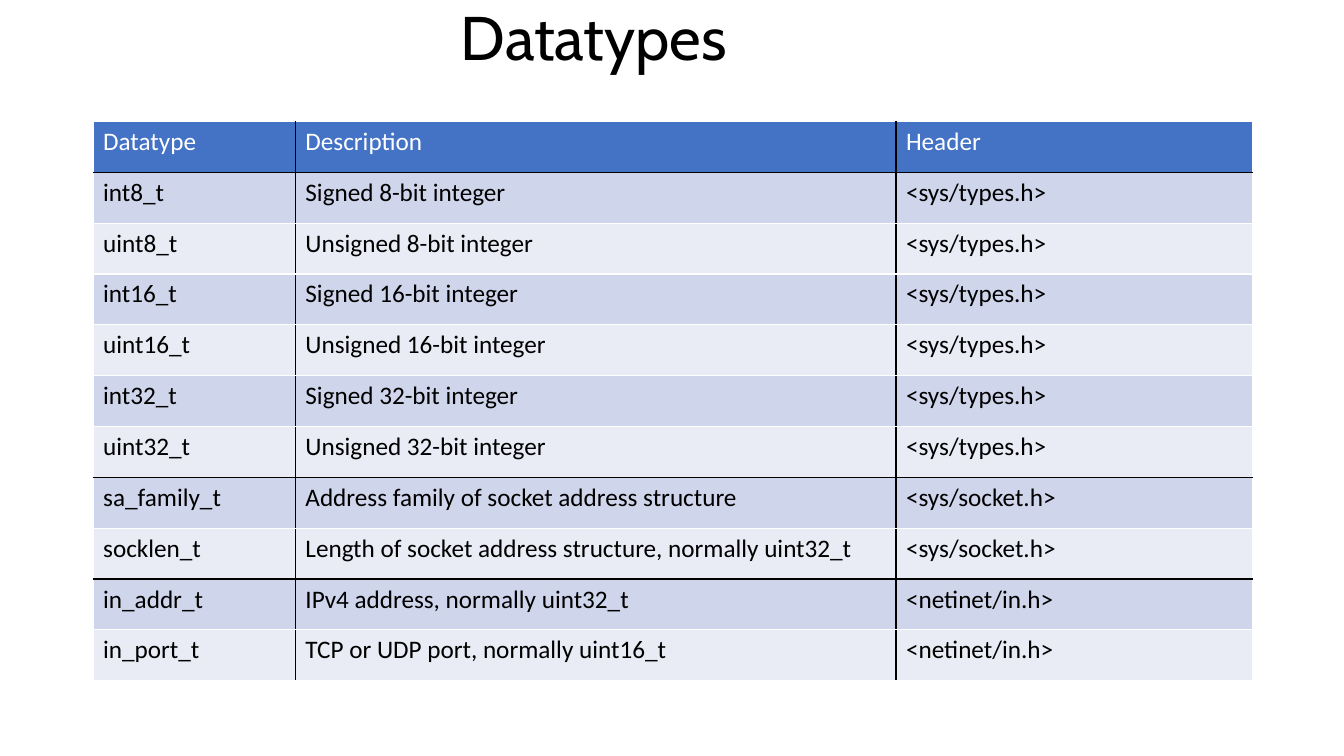
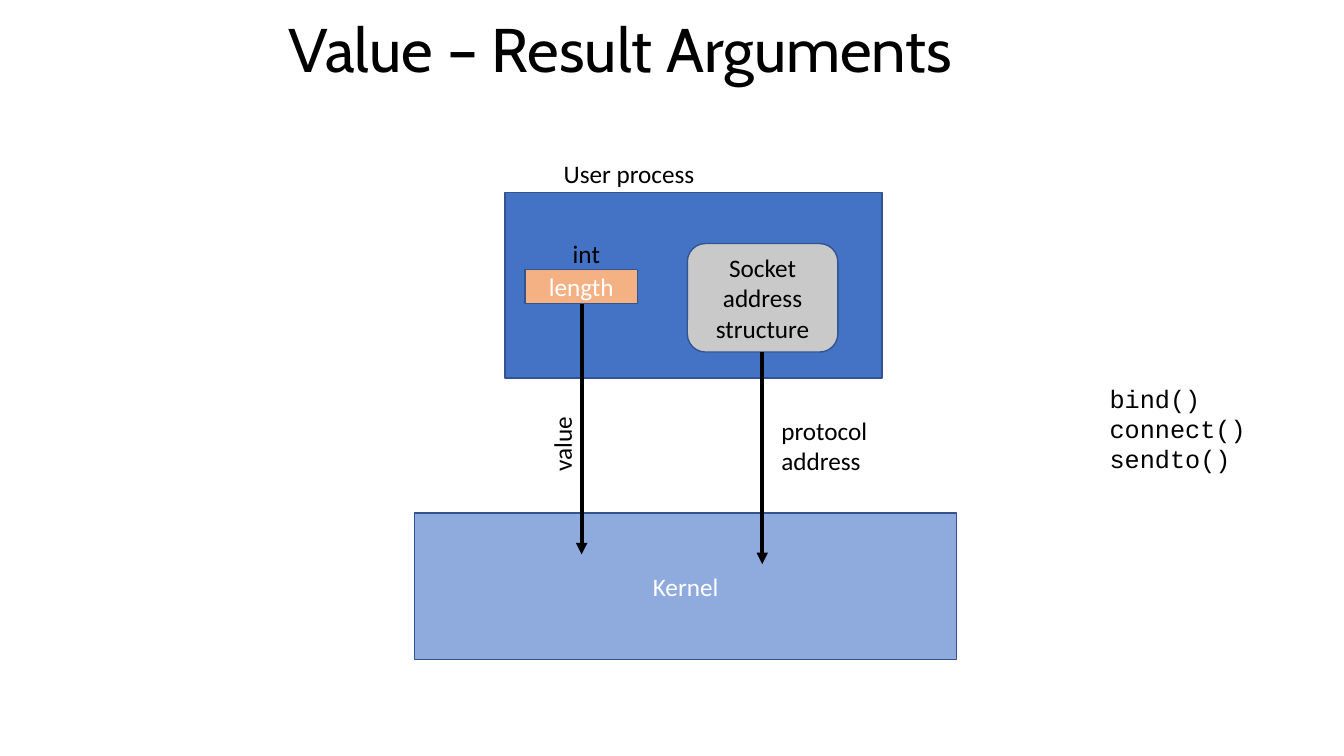
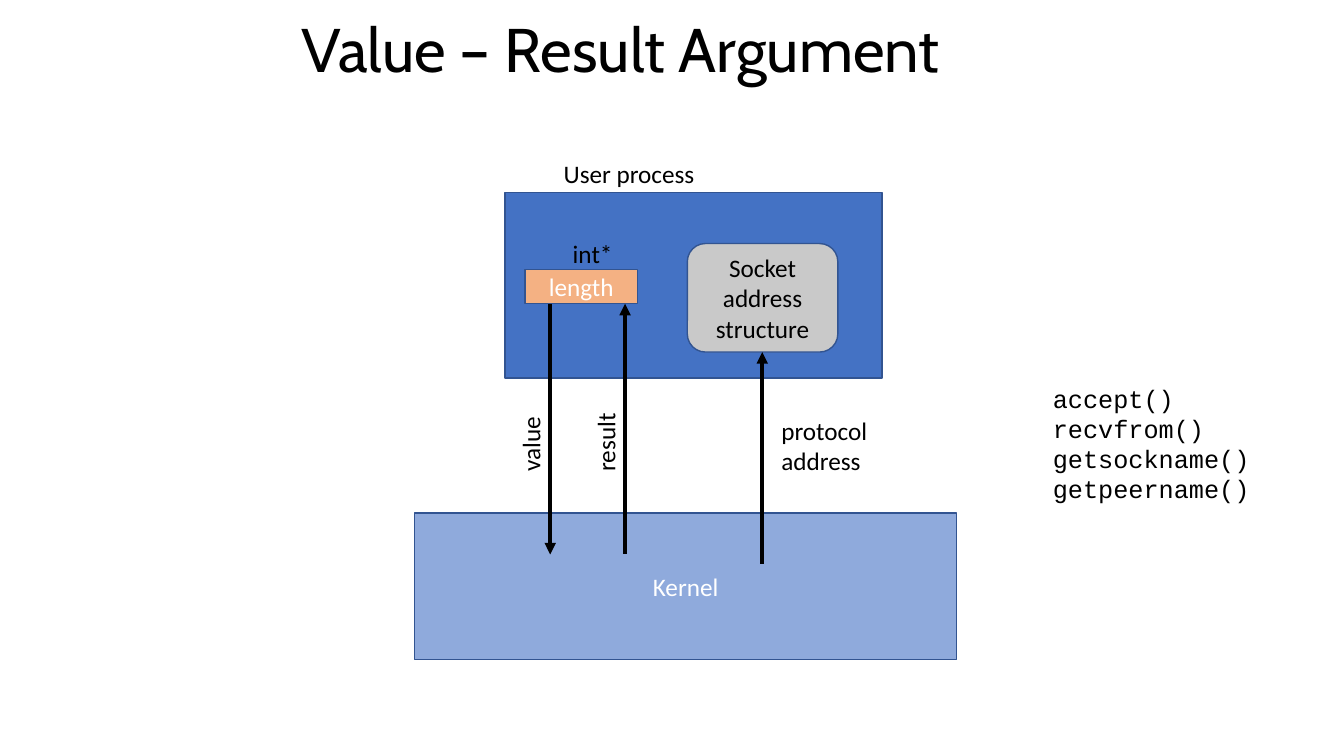
from lxml.etree import SubElement
from pptx import Presentation
from pptx.dml.color import RGBColor
from pptx.enum.shapes import MSO_CONNECTOR, MSO_SHAPE
from pptx.enum.text import MSO_ANCHOR, MSO_AUTO_SIZE, PP_ALIGN
from pptx.oxml.ns import qn
from pptx.util import Pt

BLACK = RGBColor(0x00, 0x00, 0x00)
WHITE = RGBColor(0xFF, 0xFF, 0xFF)
BLUE = RGBColor(0x44, 0x72, 0xC4)
LIGHT_BLUE = RGBColor(0x8F, 0xAA, 0xDC)
OUTLINE_BLUE = RGBColor(0x32, 0x54, 0x91)
ORANGE = RGBColor(0xF4, 0xB1, 0x83)
GREY = RGBColor(0xC9, 0xC9, 0xC9)
BAND_DARK = RGBColor(0xCF, 0xD5, 0xEA)
BAND_LIGHT = RGBColor(0xE9, 0xEB, 0xF5)


def write_text(text_frame, lines, color=BLACK, size=18, font="Calibri", alignment=PP_ALIGN.LEFT):
    for index, line in enumerate(lines):
        paragraph = text_frame.add_paragraph() if index else text_frame.paragraphs[0]
        paragraph.alignment = alignment
        run = paragraph.add_run()
        run.text = line
        run.font.size = Pt(size)
        run.font.name = font
        run.font.color.rgb = color


def draw_box(shapes, position, lines, fill=None, color=BLACK, kind=MSO_SHAPE.RECTANGLE, font="Calibri"):
    lengths = [Pt(value) for value in position]
    if fill is None:
        shape = shapes.add_textbox(*lengths)
        shape.text_frame.auto_size = MSO_AUTO_SIZE.SHAPE_TO_FIT_TEXT
        alignment = PP_ALIGN.LEFT
    else:
        shape = shapes.add_shape(kind, *lengths)
        shape.shadow.inherit = False
        shape.fill.solid()
        shape.fill.fore_color.rgb = fill
        shape.line.color.rgb = OUTLINE_BLUE
        shape.line.width = Pt(1)
        shape.text_frame.vertical_anchor = MSO_ANCHOR.MIDDLE
        alignment = PP_ALIGN.CENTER
    shape.text_frame.word_wrap = True
    write_text(shape.text_frame, lines, color, font=font, alignment=alignment)
    return shape


presentation = Presentation()
presentation.slide_width = Pt(960)
presentation.slide_height = Pt(540)

titles = [
    ("Datatypes", 122.5, 603.5, 58.5),
    ("Value – Result Arguments", 93, 700.5, 75.5),
    ("Value – Result Argument", 93, 700.5, 75.5),
]
slides = []
for text, left, width, height in titles:
    slide = presentation.slides.add_slide(presentation.slide_layouts[5])
    title = slide.shapes.title
    title.left, title.top, title.width, title.height = Pt(left), Pt(0), Pt(width), Pt(height)
    title.text_frame.auto_size = MSO_AUTO_SIZE.NONE
    title.text_frame.vertical_anchor = MSO_ANCHOR.MIDDLE
    write_text(title.text_frame, [text], size=44, font="Cabin", alignment=PP_ALIGN.CENTER)
    title.text_frame.paragraphs[0].line_spacing = 0.9
    slides.append(slide)

datatype_rows = [
    ("Datatype", "Description", "Header"),
    ("int8_t", "Signed 8-bit integer", "<sys/types.h>"),
    ("uint8_t", "Unsigned 8-bit integer", "<sys/types.h>"),
    ("int16_t", "Signed 16-bit integer", "<sys/types.h>"),
    ("uint16_t", "Unsigned 16-bit integer", "<sys/types.h>"),
    ("int32_t", "Signed 32-bit integer", "<sys/types.h>"),
    ("uint32_t", "Unsigned 32-bit integer", "<sys/types.h>"),
    ("sa_family_t", "Address family of socket address structure", "<sys/socket.h>"),
    ("socklen_t", "Length of socket address structure, normally uint32_t", "<sys/socket.h>"),
    ("in_addr_t", "IPv4 address, normally uint32_t", "<netinet/in.h>"),
    ("in_port_t", "TCP or UDP port, normally uint16_t", "<netinet/in.h>"),
]
column_widths = [144.5, 429, 254.5]
row_height = 36.33
black_rules = {1, 7, 9}

table = slides[0].shapes.add_table(
    len(datatype_rows), len(column_widths),
    Pt(66.5), Pt(86.75), Pt(sum(column_widths)), Pt(row_height * len(datatype_rows)),
).table
table.first_row = False
table.horz_banding = False
for column, width in zip(table.columns, column_widths):
    column.width = Pt(width)
for row_index, row_texts in enumerate(datatype_rows):
    table.rows[row_index].height = Pt(row_height)
    for column_index, text in enumerate(row_texts):
        cell = table.cell(row_index, column_index)
        write_text(cell.text_frame, [text], BLACK if row_index else WHITE)
        borders = {
            "a:lnL": column_index > 0,
            "a:lnR": column_index < len(column_widths) - 1,
            "a:lnT": row_index in black_rules,
            "a:lnB": row_index + 1 in black_rules,
        }
        properties = cell._tc.get_or_add_tcPr()
        for tag, is_black in borders.items():
            border = SubElement(properties, qn(tag), w=str(Pt(1)))
            border_fill = SubElement(border, qn("a:solidFill"))
            SubElement(border_fill, qn("a:srgbClr"), val=str(BLACK if is_black else WHITE))
        cell.fill.solid()
        if row_index == 0:
            cell.fill.fore_color.rgb = BLUE
        else:
            cell.fill.fore_color.rgb = BAND_DARK if row_index % 2 else BAND_LIGHT

address_arrow_x = 544.5
diagrams = [
    (
        slides[1], "int",
        [(415.5, "a:tailEnd", "value")],
        "a:tailEnd",
        (785.5, 270, 124.5, 73),
        ["bind()", "connect()", "sendto()"],
    ),
    (
        slides[2], "int*",
        [(393, "a:tailEnd", "value"), (446.5, "a:headEnd", "result")],
        "a:headEnd",
        (745, 270, 165.5, 94.5),
        ["accept()", "recvfrom()", "getsockname()", "getpeername()"],
    ),
]
for slide, length_type, length_arrows, address_end, calls_position, calls in diagrams:
    shapes = slide.shapes
    draw_box(shapes, (360.75, 137.5, 269.25, 132.5), [], BLUE)
    draw_box(shapes, (296, 366.5, 387.5, 104.5), ["Kernel"], LIGHT_BLUE, WHITE)
    draw_box(shapes, (395.5, 109.5, 142, 29), ["User process"])
    length_group = shapes.add_group_shape()
    draw_box(length_group.shapes, (375, 192.5, 80.5, 24.5), ["length"], ORANGE, WHITE)
    draw_box(length_group.shapes, (402, 166.5, 48, 29), [length_type])
    draw_box(
        shapes, (491, 174, 107.5, 77.5), ["Socket address structure"],
        GREY, kind=MSO_SHAPE.ROUNDED_RECTANGLE,
    )
    draw_box(shapes, (551, 293, 79, 51), ["protocol", "address"])
    draw_box(shapes, calls_position, calls, font="Courier New")

    for x, _, label in length_arrows:
        arrow_label = draw_box(shapes, (x - 53.5, 290, 79, 29), [label])
        arrow_label.rotation = 270

    arrows = [(x, 217, 396, arrow_end) for x, arrow_end, _ in length_arrows]
    arrows.append((address_arrow_x, 251.5, 403, address_end))
    for x, top, bottom, arrow_end in arrows:
        connector = shapes.add_connector(MSO_CONNECTOR.STRAIGHT, Pt(x), Pt(top), Pt(x), Pt(bottom))
        connector.line.color.rgb = BLACK
        connector.line.width = Pt(2.75)
        connector_properties = connector._element.spPr
        SubElement(connector_properties.find(qn("a:ln")), qn(arrow_end), type="triangle")
        SubElement(connector_properties, qn("a:effectLst"))

presentation.save("out.pptx")
